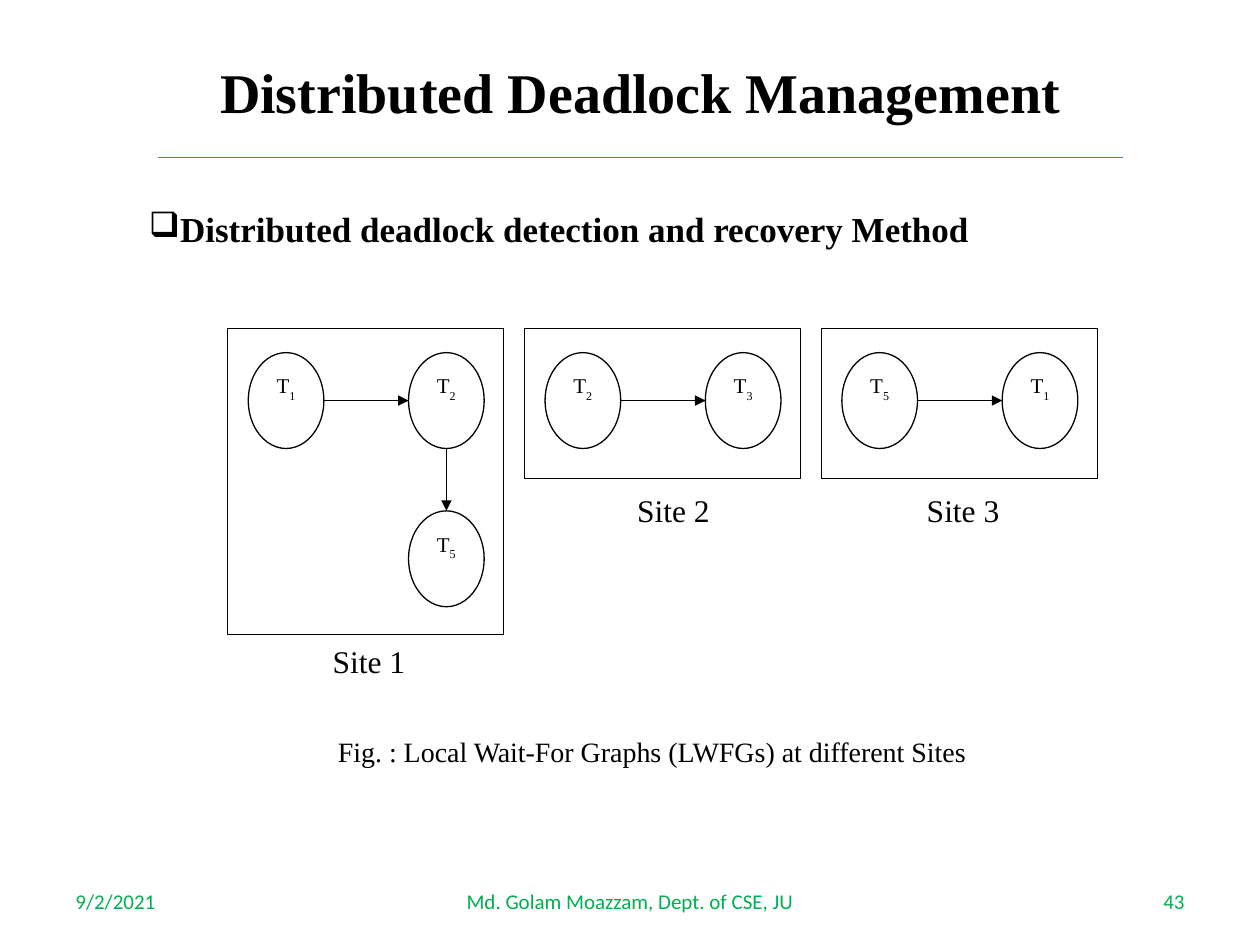
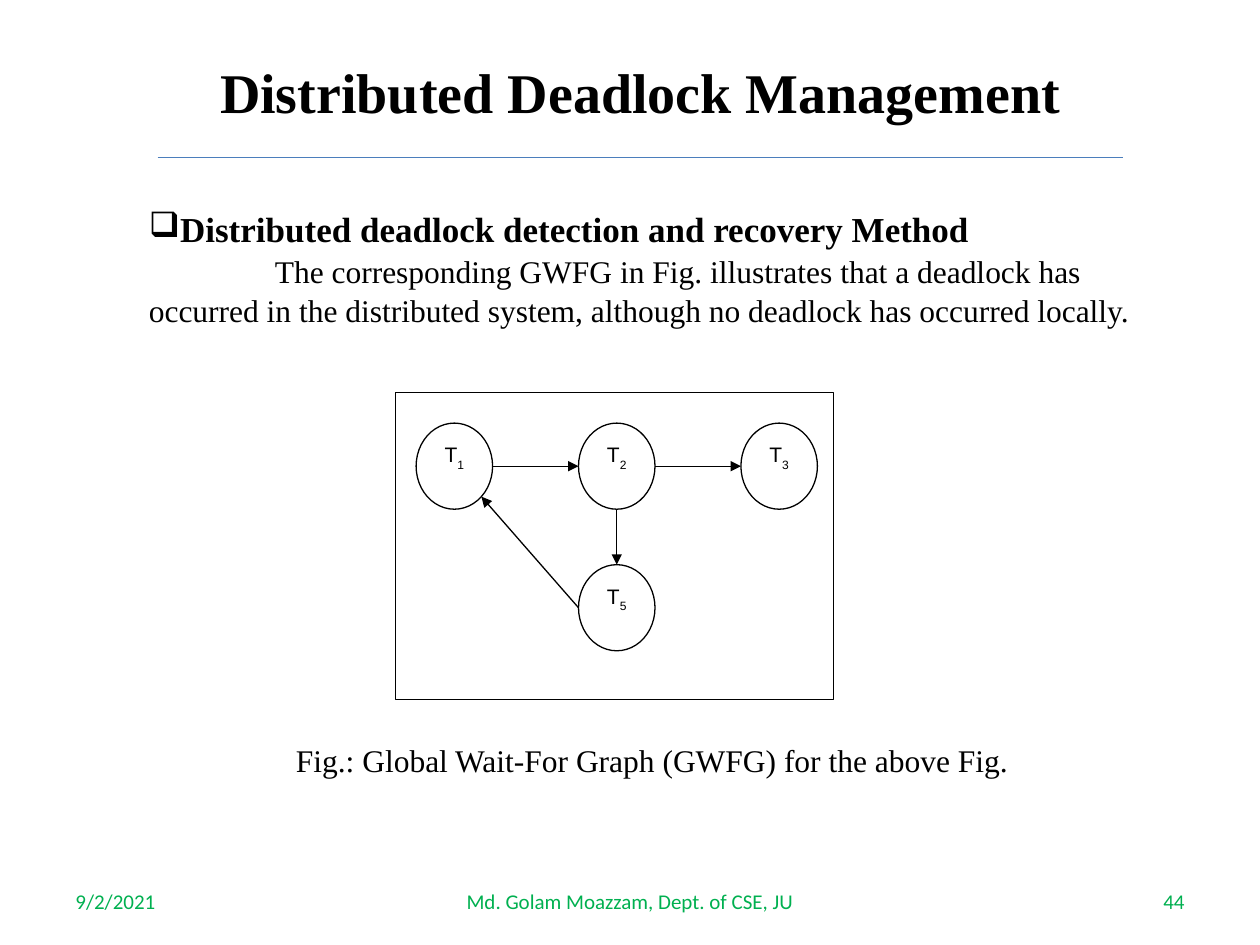
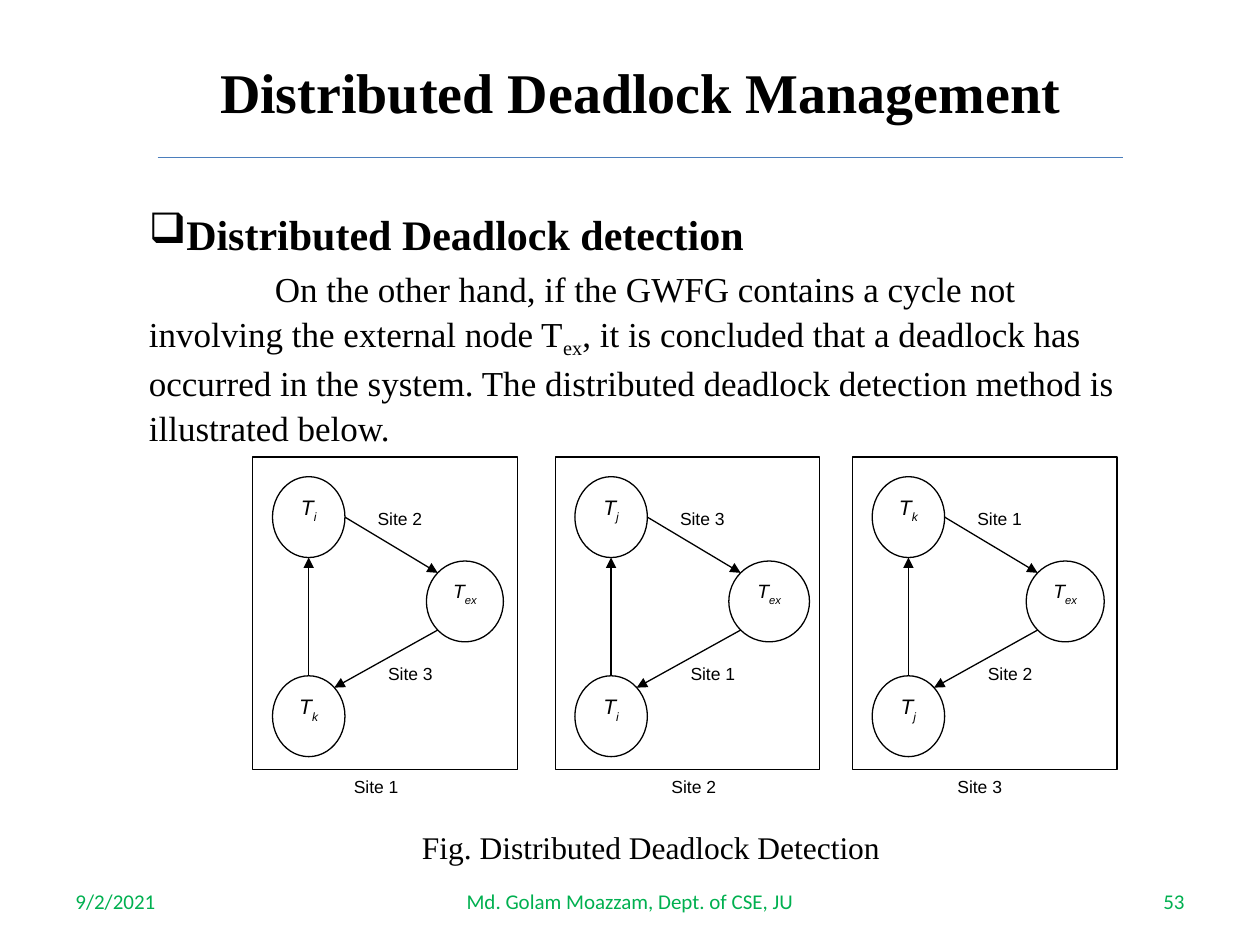
"""Build three slides on distributed deadlock management with wait-for graphs."""
from dataclasses import dataclass
from math import cos, radians, sin

from lxml import etree
from pptx import Presentation
from pptx.dml.color import RGBColor
from pptx.enum.shapes import MSO_CONNECTOR, MSO_SHAPE
from pptx.enum.text import MSO_ANCHOR, MSO_AUTO_SIZE, PP_ALIGN
from pptx.oxml.ns import qn
from pptx.util import Pt

LEFT, CENTER, RIGHT = PP_ALIGN.LEFT, PP_ALIGN.CENTER, PP_ALIGN.RIGHT
TOP, MIDDLE = MSO_ANCHOR.TOP, MSO_ANCHOR.MIDDLE
RECTANGLE, ELLIPSE = MSO_SHAPE.RECTANGLE, MSO_SHAPE.OVAL
STRAIGHT = MSO_CONNECTOR.STRAIGHT
NO_AUTOFIT = MSO_AUTO_SIZE.NONE
TITLE_ONLY = 5
ANGLES = {"E": 0, "SE": 45, "S": 90, "SW": 135, "W": 180, "NW": 225, "N": 270, "NE": 315}


@dataclass(frozen=True)
class Theme:
    """Colours, fonts and type sizes of the deck."""
    ink: RGBColor = RGBColor(0, 0, 0)
    rule: RGBColor = RGBColor(0x4B, 0x7E, 0xBC)
    footer: RGBColor = RGBColor(0x00, 0xB0, 0x50)
    serif: str = "Times New Roman"
    sans: str = "Arial"
    footer_font: str = "Calibri"
    title_size: float = 32
    heading_size: float = 20
    large_heading_size: float = 24
    body_size: float = 18
    caption_size: float = 16
    node_size: float = 12
    footer_size: float = 12
    small_node_size: float = 11
    label_size: float = 10
    stroke: float = 0.75
    leading: float = 1.05


class Deck:
    """Draws the elements of the deck on its current slide."""

    def __init__(self, theme):
        """Start an empty deck of 10 by 7.5 inches."""
        self.theme = theme
        self.presentation = Presentation()
        self.presentation.slide_width = Pt(720)
        self.presentation.slide_height = Pt(540)
        self.slide = None

    def style(self, run, size, font=None, color=None, bold=False, italic=False):
        """Format one run."""
        run.font.size = Pt(size)
        run.font.name = font or self.theme.serif
        run.font.color.rgb = color or self.theme.ink
        run.font.bold = bold
        run.font.italic = italic

    def add_runs(self, paragraph, parts, size, **look):
        """Fill a paragraph with (text, baseline percent) parts."""
        for words, baseline in parts:
            run = paragraph.add_run()
            run.text = words
            self.style(run, size, **look)
            if baseline:
                run._r.get_or_add_rPr().set("baseline", str(baseline * 1000))

    def text(self, words, x, y, width, height, size, align=LEFT, anchor=TOP, **look):
        """Add a one-paragraph text box."""
        frame = self.slide.shapes.add_textbox(Pt(x), Pt(y), Pt(width), Pt(height)).text_frame
        frame.word_wrap = True
        frame.vertical_anchor = anchor
        paragraph = frame.paragraphs[0]
        paragraph.alignment = align
        self.add_runs(paragraph, [(words, 0)], size, **look)

    def start(self, title, number):
        """Add a slide with its title, rule and footers."""
        theme = self.theme
        layout = self.presentation.slide_layouts[TITLE_ONLY]
        self.slide = self.presentation.slides.add_slide(layout)
        heading = self.slide.shapes.title
        heading.left, heading.top, heading.width, heading.height = map(Pt, (78, 27.4, 576, 62.6))
        frame = heading.text_frame
        frame.text = title
        frame.auto_size = NO_AUTOFIT
        frame.vertical_anchor = TOP
        paragraph = frame.paragraphs[0]
        paragraph.alignment = CENTER
        paragraph.line_spacing = theme.leading
        self.style(paragraph.runs[0], theme.title_size, bold=True)
        self.line((90, 90), (642, 90), theme.rule)
        for words, x, width, align in (
            ("9/2/2021", 36, 168, LEFT),
            ("Md. Golam Moazzam, Dept. of CSE, JU", 246, 228, CENTER),
            (str(number), 516, 168, RIGHT),
        ):
            self.text(words, x, 500.5, width, 28.75, theme.footer_size, align, MIDDLE,
                      font=theme.footer_font, color=theme.footer)

    def body(self, heading, heading_size, parts=(), size=None, gap=0):
        """Add the bulleted heading and an optional indented paragraph."""
        frame = self.slide.shapes.add_textbox(Pt(78), Pt(114), Pt(582), Pt(372)).text_frame
        frame.word_wrap = True
        first = frame.paragraphs[0]
        properties = first._p.get_or_add_pPr()
        properties.set("marL", "0")
        properties.set("indent", "0")
        etree.SubElement(properties, qn("a:buChar")).set("char", "❑")
        first.line_spacing = self.theme.leading
        self.add_runs(first, [(heading, 0)], heading_size, bold=True)
        if parts:
            detail = frame.add_paragraph()
            properties = detail._p.get_or_add_pPr()
            properties.set("marL", "0")
            properties.set("indent", str(Pt(72)))
            detail.line_spacing = self.theme.leading
            detail.space_before = Pt(gap)
            self.add_runs(detail, parts, size)

    def outline(self, kind, x, y, width, height):
        """Add an unfilled shape with a thin black edge."""
        shape = self.slide.shapes.add_shape(kind, Pt(x), Pt(y), Pt(width), Pt(height))
        shape.shadow.inherit = False
        shape.fill.background()
        shape.line.color.rgb = self.theme.ink
        shape.line.width = Pt(self.theme.stroke)
        return shape

    def frame(self, x, y, width, height):
        """Add the box around a site's graph."""
        self.outline(RECTANGLE, x, y, width, height)

    def node(self, subscript, x, y, width, height, size=None, **look):
        """Add a transaction node and return its bounds."""
        frame = self.outline(ELLIPSE, x, y, width, height).text_frame
        frame.margin_left = frame.margin_right = 0
        frame.vertical_anchor = TOP
        paragraph = frame.paragraphs[0]
        paragraph.alignment = CENTER
        self.add_runs(paragraph, [("T", 0), (subscript, -30)],
                      size or self.theme.node_size, **look)
        return x, y, width, height

    def line(self, start, end, color):
        """Add a straight line and return its shape properties."""
        connector = self.slide.shapes.add_connector(STRAIGHT, *map(Pt, (*start, *end)))
        connector.line.color.rgb = color
        connector.line.width = Pt(self.theme.stroke)
        properties = connector._element.spPr
        etree.SubElement(properties, qn("a:effectLst"))
        return properties

    def arrow(self, source, source_side, target, target_side):
        """Point an arrow from one node's edge to another's."""
        properties = self.line(rim(source, source_side), rim(target, target_side), self.theme.ink)
        etree.SubElement(properties.find(qn("a:ln")), qn("a:tailEnd")).set("type", "triangle")


def rim(node, side):
    """Return the point of a node's ellipse at a compass side."""
    x, y, width, height = node
    angle = radians(ANGLES[side])
    return x + width / 2 * (1 + cos(angle)), y + height / 2 * (1 + sin(angle))


def local_graphs(deck, title, heading):
    """Build the slide with the local graphs of three sites."""
    theme = deck.theme
    deck.start(title, 43)
    deck.body(heading, theme.heading_size)
    oval = 43.2, 54.8
    sites = (("1", "2", 175, 183, 363.6), ("2", "3", 85.7, 357, 277.2), ("5", "1", 85.7, 522.5, 277.2))
    for index, (waiting, holding, height, label_x, label_y) in enumerate(sites):
        x = 130.2 + 169.6 * index
        deck.frame(x, 187.8, 157.7, height)
        source = deck.node(waiting, x + 11.7, 201.5, *oval)
        target = deck.node(holding, x + 103.3, 201.5, *oval)
        deck.arrow(source, "E", target, "W")
        if index == 0:
            last = deck.node("5", x + 103.3, 291.9, *oval)
            deck.arrow(target, "S", last, "N")
        deck.text(f"Site {index + 1}", label_x, label_y, 62.6, 33.8, theme.body_size)
    deck.text("Fig. : Local Wait-For Graphs (LWFGs) at different Sites",
              186, 416.2, 390, 33.8, theme.caption_size)


def global_graph(deck, title, heading):
    """Build the slide with the global graph."""
    theme = deck.theme
    deck.start(title, 44)
    deck.body(heading, theme.heading_size, [(
        "The corresponding GWFG in Fig. illustrates that a deadlock has occurred in the "
        "distributed system, although no deadlock has occurred locally.", 0)], theme.body_size)
    deck.text("Fig.: Global Wait-For Graph (GWFG) for the above Fig.",
              162, 419.8, 426, 31, theme.body_size)
    deck.frame(226, 224.3, 250.2, 175.3)
    first, second, third = (
        deck.node(str(index + 1), 237.8 + 92.8 * index, 241.8, 43.7, 49.2, font=theme.sans)
        for index in range(3))
    fifth = deck.node("5", second[0], 322.7, 43.7, 49.2, font=theme.sans)
    deck.arrow(first, "E", second, "W")
    deck.arrow(second, "E", third, "W")
    deck.arrow(second, "S", fifth, "N")
    deck.arrow(fifth, "W", first, "SE")


def detection(deck, title):
    """Build the slide with the cycles through the external node."""
    theme = deck.theme
    deck.start(title, 53)
    deck.body("Distributed Deadlock detection", theme.large_heading_size, [
        ("On the other hand, if the GWFG contains a cycle not involving the external node T", 0),
        ("ex", -25),
        (", it is concluded that a deadlock has occurred in the system. The distributed "
         "deadlock detection method is illustrated below.", 0)], theme.heading_size, gap=4)
    deck.text("Fig. Distributed Deadlock Detection", 234, 469.4, 318, 28.8, theme.body_size)
    look = {"font": theme.sans, "italic": True}
    sites = ((144.5, "i", "k", 44, 2, 3, 195.1),
             (317.3, "j", "i", 46.1, 3, 1, 376.6),
             (487.2, "k", "j", 44.6, 1, 2, 540))
    for index, (x, upper, lower, width, outgoing, incoming, label_x) in enumerate(sites):
        deck.frame(x, 261.2, 151.2, 178.6)
        waiting = deck.node(upper, x + 11.2, 272.4, 41.4, 46.2, **look)
        external = deck.node("ex", x + 99.2, 320.6, width, 46.2, theme.small_node_size, **look)
        holding = deck.node(lower, x + 11.2, 386.2, 41.4, 46.2, **look)
        deck.arrow(waiting, "E", external, "NW")
        deck.arrow(external, "SW", holding, "NE")
        deck.arrow(holding, "N", waiting, "S")
        for site, left, top in ((outgoing, x + 64.2, 286.6), (incoming, x + 70.2, 375.1),
                                (index + 1, label_x, 440.2)):
            deck.text(f"Site {site}", left, top, 51.1, 28.8, theme.label_size, font=theme.sans)


def main():
    """Build and save the deck."""
    deck = Deck(Theme())
    title = "Distributed Deadlock Management"
    heading = "Distributed deadlock detection and recovery Method"
    local_graphs(deck, title, heading)
    global_graph(deck, title, heading)
    detection(deck, title)
    deck.presentation.save("out.pptx")


if __name__ == "__main__":
    main()
